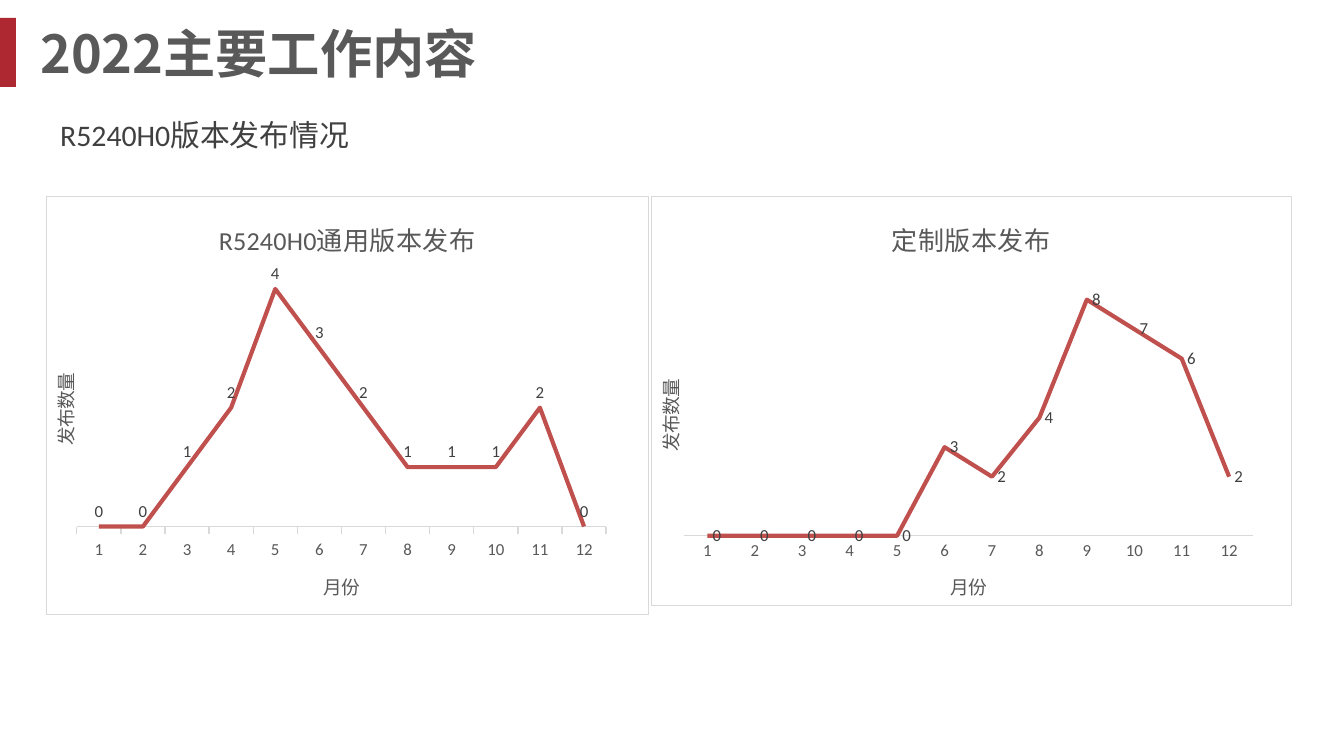
"""Build a slide that compares monthly releases in two line charts."""
from dataclasses import dataclass

from lxml import etree
from pptx import Presentation
from pptx import util as u
from pptx.chart.data import CategoryChartData
from pptx.dml.color import RGBColor
from pptx.enum import chart as ch
from pptx.enum import shapes, text
from pptx.oxml import parse_xml
from pptx.oxml.ns import nsdecls, qn


@dataclass(frozen=True)
class Theme:
    red: str = "AD2830"
    line: str = "C0504D"
    grey: str = "595959"
    dark: str = "404040"
    rule: str = "D9D9D9"
    latin: str = "Calibri"
    cjk: str = "Noto Sans CJK SC"
    head: int = 28
    sub: int = 16
    title: int = 14
    axis: int = 10
    tick: int = 9


T = Theme()
SCALE = 9144000 / 1344


def box(*px):
    return [u.Emu(round(n * SCALE)) for n in px]


def style(font, size, color, name=T.latin, bold=False):
    font.size, font.bold, font.name = u.Pt(size), bold, name
    font.color.rgb = RGBColor.from_string(color)
    etree.SubElement(font._element, qn("a:ea")).set("typeface", T.cjk)


deck = Presentation()
deck.slide_width, deck.slide_height = box(1344, 756)
slide = deck.slides.add_slide(deck.slide_layouts[5])

bar = slide.shapes.add_shape(shapes.MSO_SHAPE.RECTANGLE, *box(0, 18, 16, 69))
bar.shadow.inherit = False
bar.fill.solid()
bar.fill.fore_color.rgb = RGBColor.from_string(T.red)
bar.line.fill.background()

head = slide.shapes.title
head.left, head.top, head.width, head.height = box(27, 18, 1111, 69)
sub = slide.shapes.add_textbox(*box(47, 103, 437, 56))
for shape, words, size, color, name, bold in (
    (head, "2022主要工作内容", T.head, T.grey, T.cjk, True),
    (sub, "R5240H0版本发布情况", T.sub, T.dark, T.latin, False),
):
    frame = shape.text_frame
    frame.text = words
    frame.word_wrap = True
    frame.auto_size = text.MSO_AUTO_SIZE.NONE
    para = frame.paragraphs[0]
    para.alignment = text.PP_ALIGN.LEFT
    style(para.runs[0].font, size, color, name, bold)
head.text_frame.vertical_anchor = text.MSO_ANCHOR.MIDDLE
sub.text_frame.paragraphs[0].line_spacing = 1.2

above, right = ch.XL_LABEL_POSITION.ABOVE, ch.XL_LABEL_POSITION.RIGHT
none, out = ch.XL_TICK_MARK.NONE, ch.XL_TICK_MARK.OUTSIDE
charts = (
    ("定制版本发布", (651, 196, 641, 410), (0, 0, 0, 0, 0, 3, 2, 4, 8, 7, 6, 2),
     9, right, none, (0.05, 0.18, 0.89, 0.65)),
    ("R5240H0通用版本发布", (46, 196, 603, 419), (0, 0, 1, 2, 4, 3, 2, 1, 1, 1, 2, 0),
     4.5, above, out, (0.05, 0.15, 0.88, 0.64)),
)
for name, place, vals, top, pos, tick, plot in charts:
    data = CategoryChartData()
    data.categories = [str(n) for n in range(1, 13)]
    data.add_series("Series 1", vals)
    chart = slide.shapes.add_chart(ch.XL_CHART_TYPE.LINE, *box(*place), data).chart
    chart.has_legend = False
    chart.font.size, chart.font.name = u.Pt(T.axis), T.latin

    months, count = chart.category_axis, chart.value_axis
    chart.has_title = True
    for frame, words, size in (
        (chart.chart_title.text_frame, name, T.title),
        (months.axis_title.text_frame, "月份", T.axis),
        (count.axis_title.text_frame, "发布数量", T.axis),
    ):
        frame.text = words
        style(frame.paragraphs[0].runs[0].font, size, T.grey)
    turn = count.axis_title.text_frame._txBody.bodyPr
    turn.set("rot", "-5400000")
    turn.set("vert", "horz")

    months.major_tick_mark = tick
    months.format.line.color.rgb = RGBColor.from_string(T.rule)
    months.format.line.width = u.Pt(0.75)
    style(months.tick_labels.font, T.tick, T.grey)
    count.visible = count.has_major_gridlines = False
    count.minimum_scale, count.maximum_scale = 0, top

    series = chart.plots[0].series[0]
    series.smooth = False
    series.marker.style = ch.XL_MARKER_STYLE.NONE
    series.format.line.color.rgb = RGBColor.from_string(T.line)
    series.format.line.width = u.Pt(2.25)
    labels = series.data_labels
    labels.show_value, labels.position = True, pos
    style(labels.font, T.tick, T.dark)

    root = chart._chartSpace
    area = root.chart.plotArea
    for old in area.findall(qn("c:layout")):
        area.remove(old)
    sides = "".join(f'<c:{k} val="{v}"/>' for k, v in zip("xywh", plot))
    area.insert(0, parse_xml(
        f'<c:layout {nsdecls("c")}><c:manualLayout><c:layoutTarget val="inner"/>'
        f'<c:xMode val="edge"/><c:yMode val="edge"/>{sides}</c:manualLayout></c:layout>'))
    root.chart.addnext(parse_xml(
        f'<c:spPr {nsdecls("c", "a")}><a:solidFill><a:srgbClr val="FFFFFF"/></a:solidFill>'
        f'<a:ln w="9525"><a:solidFill><a:srgbClr val="{T.rule}"/></a:solidFill></a:ln></c:spPr>'))

deck.save("out.pptx")
